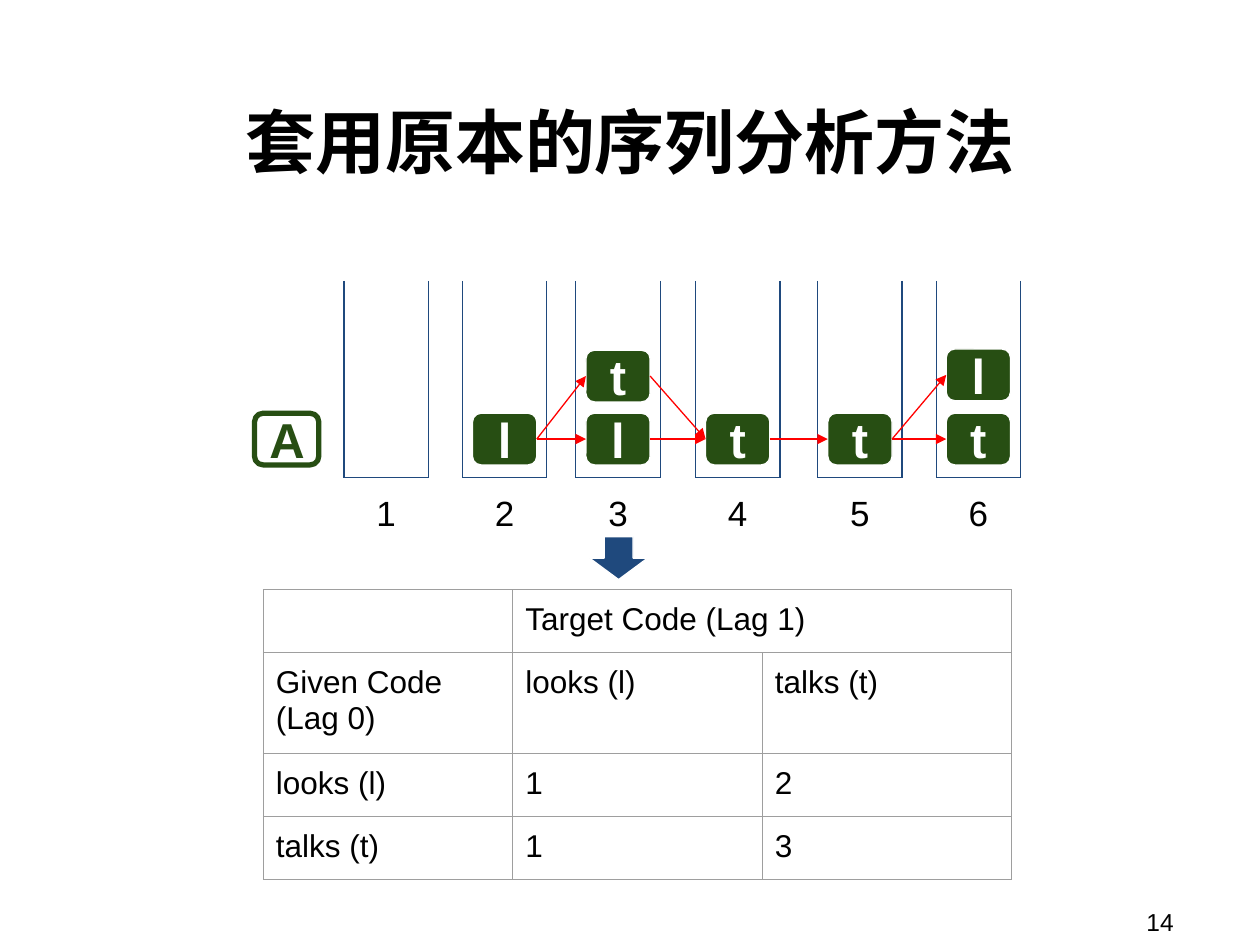
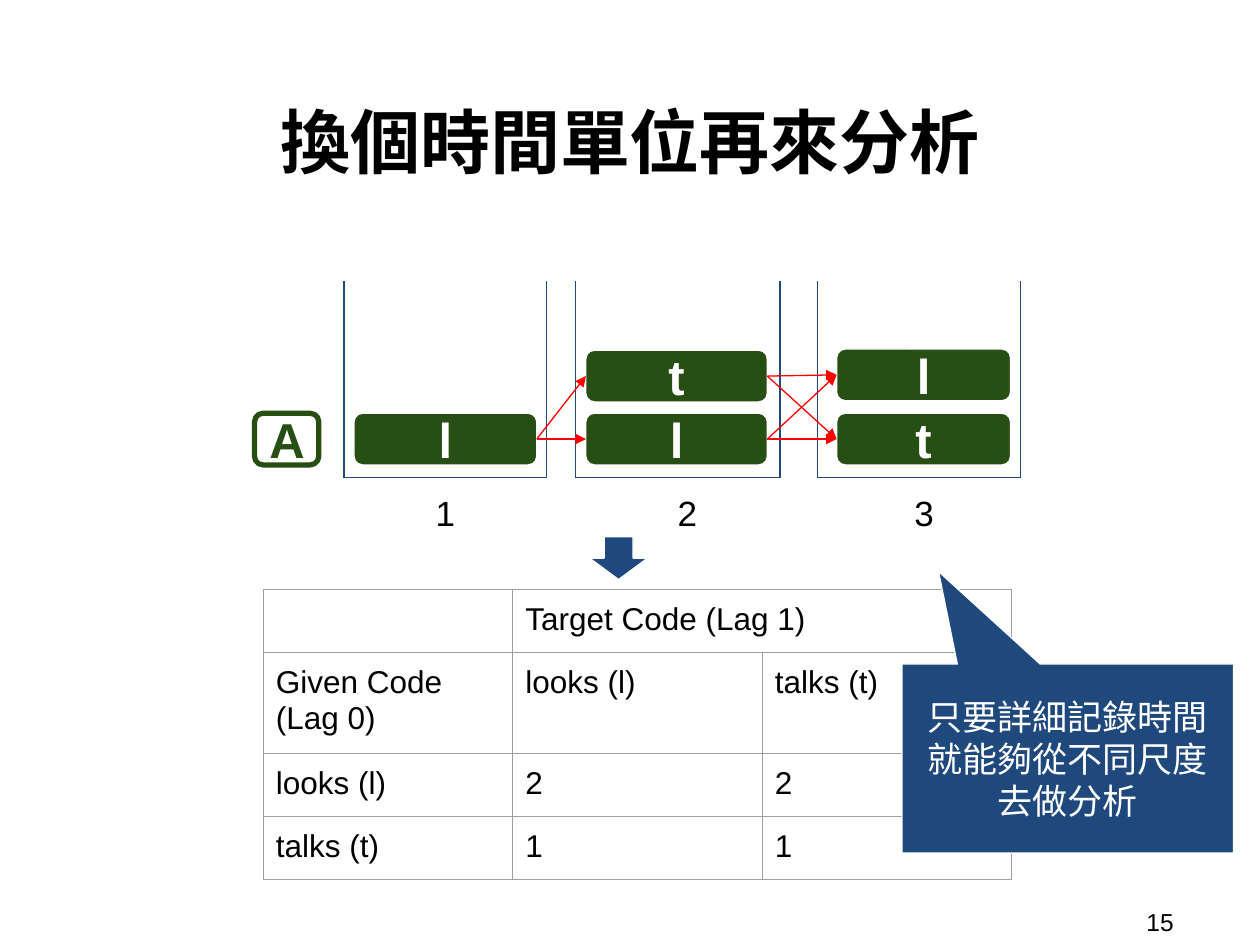
import pptx
import pptx.util
import pptx.dml.color
import pptx.enum.shapes
import pptx.enum.text
import pptx.oxml.ns
from lxml import etree

PX = 9144  # 100 px to the inch
COLORS = {
    "white": "FFFFFF",
    "black": "000000",
    "green": "274E13",
    "blue": "1F497D",
    "red": "FF0000",
    "grid": "9E9E9E",
}
LATIN, CJK = "Arial", "Noto Sans CJK TC"
SHAPE = pptx.enum.shapes.MSO_SHAPE
ANCHOR = pptx.enum.text.MSO_ANCHOR
ALIGN = pptx.enum.text.PP_ALIGN

BIN_TOP, BIN_BOTTOM = 223, 379
CHIP_H, CHIP_W, LABEL_W = 41, 51, 59
LOWER, MIDDLE, UPPER = 328, 278, 277
TABLE_LEFT, TABLE_TOP, COL_W, ROW_H = 209, 468, 198, 42


def px(*lengths):
    return [pptx.util.Emu(n * PX) for n in lengths]


def rgb(name):
    return pptx.dml.color.RGBColor.from_string(COLORS[name])


def sub(parent, tag, **attrs):
    return etree.SubElement(parent, pptx.oxml.ns.qn(tag), attrs)


def write(tf, text, size=18, color="black", bold=False, font=LATIN,
          align=ALIGN.LEFT, anchor=ANCHOR.TOP, inset_y=10):
    """Fill a text frame, one paragraph for each line of text."""
    tf.word_wrap = True
    tf.vertical_anchor = anchor
    tf.margin_left, tf.margin_right, tf.margin_top, tf.margin_bottom = px(
        10, 10, inset_y, inset_y)
    for i, line in enumerate(text.split("\n")):
        p = tf.add_paragraph() if i else tf.paragraphs[0]
        p.alignment = align
        r = p.add_run()
        r.text = line
        r.font.size = pptx.util.Pt(size)
        r.font.bold = bold
        r.font.color.rgb = rgb(color)
        r.font.name = font
        sub(r.font._element, "a:ea", typeface=CJK)


def add_text(s, box, text, **fmt):
    write(s.shapes.add_textbox(*px(*box)).text_frame, text, **fmt)


def add_shape(s, kind, box, fill="blue", line="white", width=0.75, adj=()):
    sp = s.shapes.add_shape(kind, *px(*box))
    sp.shadow.inherit = False
    sp.fill.solid()
    sp.fill.fore_color.rgb = rgb(fill)
    sp.line.color.rgb = rgb(line)
    sp.line.width = pptx.util.Pt(width)
    for i, value in enumerate(adj):
        sp.adjustments[i] = value
    return sp


def add_line(s, x1, y1, x2, y2, color="blue"):
    cx = s.shapes.add_connector(
        pptx.enum.shapes.MSO_CONNECTOR.STRAIGHT, *px(x1, y1, x2, y2))
    cx.line.color.rgb = rgb(color)
    cx.line.width = pptx.util.Pt(0.75)
    sub(cx._element.spPr, "a:effectLst")
    return cx


def add_arrow(s, start, end):
    """Red arrow from the right side of one chip to the left side of another."""
    cx = add_line(s, 0, 0, 0, 0, "red")
    cx.begin_connect(start, 3)
    cx.end_connect(end, 1)
    sub(cx.line._get_or_add_ln(), "a:tailEnd", type="triangle")


def add_chip(s, text, x, y, w=CHIP_W, fill="green", line="white", width=0.75,
             color="white"):
    sp = add_shape(s, SHAPE.ROUNDED_RECTANGLE, (x, y, w, CHIP_H), fill, line,
                   width, (0.167,))
    write(sp.text_frame, text, size=28, color=color, bold=True,
          align=ALIGN.CENTER, anchor=ANCHOR.MIDDLE)
    return sp


def add_bin(s, left, right, label, label_x):
    """Time slot that is open at the top, with its number below."""
    for x in (left, right):
        add_line(s, x, BIN_TOP, x, BIN_BOTTOM)
    add_line(s, left, BIN_BOTTOM, right, BIN_BOTTOM)
    add_text(s, (label_x, 380, LABEL_W, 48), label, size=20,
             align=ALIGN.CENTER)


def add_borders(cell):
    tcPr = cell._tc.get_or_add_tcPr()
    for side in ("a:lnL", "a:lnR", "a:lnT", "a:lnB"):
        ln = sub(tcPr, side, w=str(pptx.util.Pt(0.75)))
        sub(sub(ln, "a:solidFill"), "a:srgbClr", val=COLORS["grid"])


def add_lag_table(s, looks, talks):
    rows = [
        ("", "Target Code (Lag 1)", ""),
        ("Given Code (Lag 0)", "looks (l)", "talks (t)"),
        ("looks (l)", *looks),
        ("talks (t)", *talks),
    ]
    table = s.shapes.add_table(
        len(rows), 3, *px(TABLE_LEFT, TABLE_TOP, 3 * COL_W,
                          len(rows) * ROW_H)).table
    table.first_row = table.horz_banding = False
    for i, row in enumerate(rows):
        for j, text in enumerate(row):
            cell = table.cell(i, j)
            add_borders(cell)
            cell.fill.solid()
            cell.fill.fore_color.rgb = rgb("white")
            cell.margin_left, cell.margin_right = px(10, 10)
            cell.margin_top, cell.margin_bottom = px(10, 10)
            if text:
                write_cell(cell, text)
    table.cell(0, 1).merge(table.cell(0, 2))


def write_cell(cell, text):
    r = cell.text_frame.paragraphs[0].add_run()
    r.text = text
    r.font.size = pptx.util.Pt(18)
    r.font.name = LATIN
    r.font.color.rgb = rgb("black")


def add_slide(prs, title, number):
    """Blank slide with the title, page number, person A and down arrow."""
    s = prs.slides.add_slide(prs.slide_layouts[6])
    add_text(s, (52, 19, 896, 136), title, size=40, bold=True, font=CJK,
             align=ALIGN.CENTER, anchor=ANCHOR.BOTTOM)
    add_text(s, (900, 717, 92, 29), number, size=14, anchor=ANCHOR.MIDDLE,
             inset_y=5)
    add_chip(s, "A", 202, LOWER, fill="white", line="green", width=3,
             color="green")
    add_shape(s, SHAPE.DOWN_ARROW, (468, 426, 46, 34), adj=(0.5, 0.5))
    return s


def add_short_slots(prs):
    s = add_slide(prs, "套用原本的序列分析方法", "14")
    lefts = (273, 367, 457, 552, 649, 743)
    for i, x in enumerate(lefts, 1):
        add_bin(s, x, x + 67, str(i), x + 4)
    lower = [add_chip(s, text, x + 8, LOWER)
             for text, x in zip("llttt", lefts[1:])]
    talk3 = add_chip(s, "t", lefts[2] + 8, MIDDLE)
    look6 = add_chip(s, "l", lefts[5] + 8, UPPER)
    for start, end in zip(lower, lower[1:]):
        add_arrow(s, start, end)
    add_arrow(s, lower[0], talk3)
    add_arrow(s, talk3, lower[2])
    add_arrow(s, lower[3], look6)
    add_lag_table(s, ("1", "2"), ("1", "3"))


def add_long_slots(prs):
    s = add_slide(prs, "換個時間單位再來分析", "15")
    slots = ((273, 434, 324), (457, 619, 516), (649, 810, 704))
    for i, (left, right, label_x) in enumerate(slots, 1):
        add_bin(s, left, right, str(i), label_x)
    look1 = add_chip(s, "l", 281, LOWER, 145)
    second = [add_chip(s, "l", 465, LOWER, 144),
              add_chip(s, "t", 465, MIDDLE, 144)]
    third = [add_chip(s, "t", 664, LOWER, 138),
             add_chip(s, "l", 664, UPPER, 138)]
    for middle in second:
        add_arrow(s, look1, middle)
        for last in third:
            add_arrow(s, middle, last)
    add_lag_table(s, ("2", "2"), ("1", "1"))
    callout = add_shape(s, SHAPE.ROUNDED_RECTANGULAR_CALLOUT,
                        (716, 527, 263, 150), adj=(-0.39, -0.99, 0))
    write(callout.text_frame, "只要詳細記錄時間\n就能夠從不同尺度\n去做分析", size=20,
          color="white", align=ALIGN.CENTER, anchor=ANCHOR.MIDDLE)


def main():
    prs = pptx.Presentation()
    prs.slide_width, prs.slide_height = px(1000, 750)
    add_short_slots(prs)
    add_long_slots(prs)
    prs.save("out.pptx")


if __name__ == "__main__":
    main()
